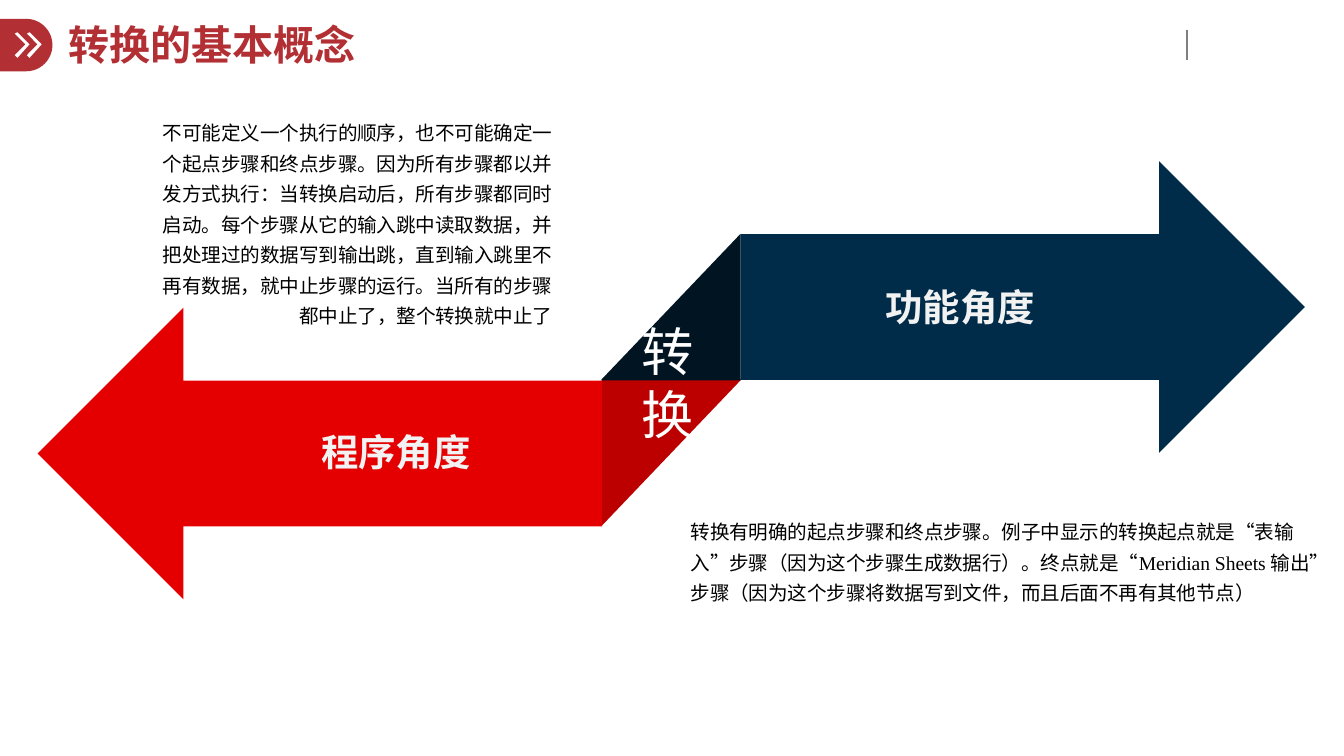
from lxml.etree import SubElement
from pptx import Presentation
from pptx.dml.color import RGBColor
from pptx.enum.shapes import MSO_CONNECTOR, MSO_SHAPE
from pptx.enum.text import MSO_ANCHOR, PP_ALIGN
from pptx.oxml.ns import qn
from pptx.util import Inches, Pt

HEADING_FONT = "Noto Sans CJK SC"
BODY_FONT = "Times New Roman"
BRAND_RED = "B22F33"
WHITE = "FFFFFF"
LABEL_GRAY = "F2F2F2"

PROGRAM_TEXT = (
    "不可能定义一个执行的顺序，也不可能确定一个起点步骤和终点步骤。"
    "因为所有步骤都以并发方式执行：当转换启动后，所有步骤都同时启动。"
    "每个步骤从它的输入跳中读取数据，并把处理过的数据写到输出跳，"
    "直到输入跳里不再有数据，就中止步骤的运行。"
    "当所有的步骤都中止了，整个转换就中止了"
)
FUNCTION_TEXT = (
    "转换有明确的起点步骤和终点步骤。例子中显示的转换起点就是“表输入”步骤"
    "（因为这个步骤生成数据行）。终点就是“Meridian Sheets 输出” 步骤"
    "（因为这个步骤将数据写到文件，而且后面不再有其他节点）"
)


def rgb(color):
    return RGBColor.from_string(color)


def paint(s, color):
    s.shadow.inherit = False
    s.fill.solid()
    s.fill.fore_color.rgb = rgb(color)
    s.line.fill.background()


def add_block(slide, kind, box, color, flip=None):
    """Add a filled preset shape; flip is flipH or flipV."""
    s = slide.shapes.add_shape(kind, *map(Inches, box))
    paint(s, color)
    if flip:
        s._element.spPr.xfrm.set(flip, "1")


def add_chevron(slide, left):
    top, middle, bottom = 0.24, 0.33, 0.43
    points = [(0.02, top), (0.11, middle), (0.02, bottom),
              (0, bottom - 0.02), (0.08, middle), (0, top + 0.01)]
    points = [(Inches(left + x), Inches(y)) for x, y in points]
    builder = slide.shapes.build_freeform(*points[0])
    builder.add_line_segments(points[1:], close=True)
    paint(builder.convert_to_shape(), WHITE)


def add_divider(slide, x, top, bottom):
    line = slide.shapes.add_connector(
        MSO_CONNECTOR.STRAIGHT, Inches(x), Inches(top), Inches(x), Inches(bottom))
    line.line.color.rgb = rgb("7F7F7F")
    line.line.width = Pt(1)
    SubElement(line._element.spPr, qn("a:effectLst"))


def add_text(slide, text, box, size, font, color, bold=False,
             align=PP_ALIGN.LEFT, spacing=1.0, anchor=MSO_ANCHOR.TOP, inset=0.1):
    tf = slide.shapes.add_textbox(*map(Inches, box)).text_frame
    tf.word_wrap = True
    tf.vertical_anchor = anchor
    tf.margin_left = tf.margin_right = Inches(inset)
    p = tf.paragraphs[0]
    p.alignment = align
    p.line_spacing = spacing
    r = p.add_run()
    r.text = text
    r.font.size = Pt(size)
    r.font.name = font
    r.font.bold = bold
    r.font.color.rgb = rgb(color)
    if font == HEADING_FONT:
        SubElement(r._r.rPr, qn("a:ea"), typeface=font)


def add_heading(slide, text, box, size, color, **options):
    add_text(slide, text, box, size, HEADING_FONT, color, bold=True,
             anchor=MSO_ANCHOR.MIDDLE, **options)


def add_body(slide, text, box, align=PP_ALIGN.LEFT):
    add_text(slide, text, box, 10.5, BODY_FONT, "000000", align=align, spacing=1.3)


def main():
    prs = Presentation()
    prs.slide_width, prs.slide_height = Inches(10), Inches(10 * 9 / 16)
    slide = prs.slides.add_slide(prs.slide_layouts[6])

    add_block(slide, MSO_SHAPE.FLOWCHART_DELAY, (0, 0.14, 0.39, 0.39), BRAND_RED)
    add_divider(slide, 8.83, 0.22, 0.45)
    for left in (0.2, 0.11):
        add_chevron(slide, left)
    add_heading(slide, "转换的基本概念", (0.43, 0.15, 7.3, 0.4), 22, BRAND_RED,
                spacing=0.9, inset=0.08)

    add_block(slide, MSO_SHAPE.LEFT_ARROW, (0.28, 2.29, 4.2, 2.17), "E40000")
    add_block(slide, MSO_SHAPE.RIGHT_TRIANGLE, (4.48, 2.82, 1.04, 1.09), "BC0000", "flipV")
    add_block(slide, MSO_SHAPE.RIGHT_ARROW, (5.51, 1.2, 4.2, 2.17), "002C4A")
    add_block(slide, MSO_SHAPE.RIGHT_TRIANGLE, (4.47, 1.74, 1.04, 1.09), "001422", "flipH")

    add_body(slide, PROGRAM_TEXT, (0.99, 0.8, 3.22, 1.69), PP_ALIGN.RIGHT)
    add_heading(slide, "程序角度", (1.12, 3.14, 2.48, 0.44), 20, LABEL_GRAY,
                align=PP_ALIGN.RIGHT)
    add_heading(slide, "功能角度", (6.49, 2.06, 2.48, 0.44), 20, LABEL_GRAY)
    add_body(slide, FUNCTION_TEXT, (5.04, 3.77, 4.96, 0.77))
    add_text(slide, "转换", (4.77, 2.33, 0.4, 1.04), 28, "Arial", WHITE, inset=0)

    prs.save("out.pptx")


if __name__ == "__main__":
    main()
